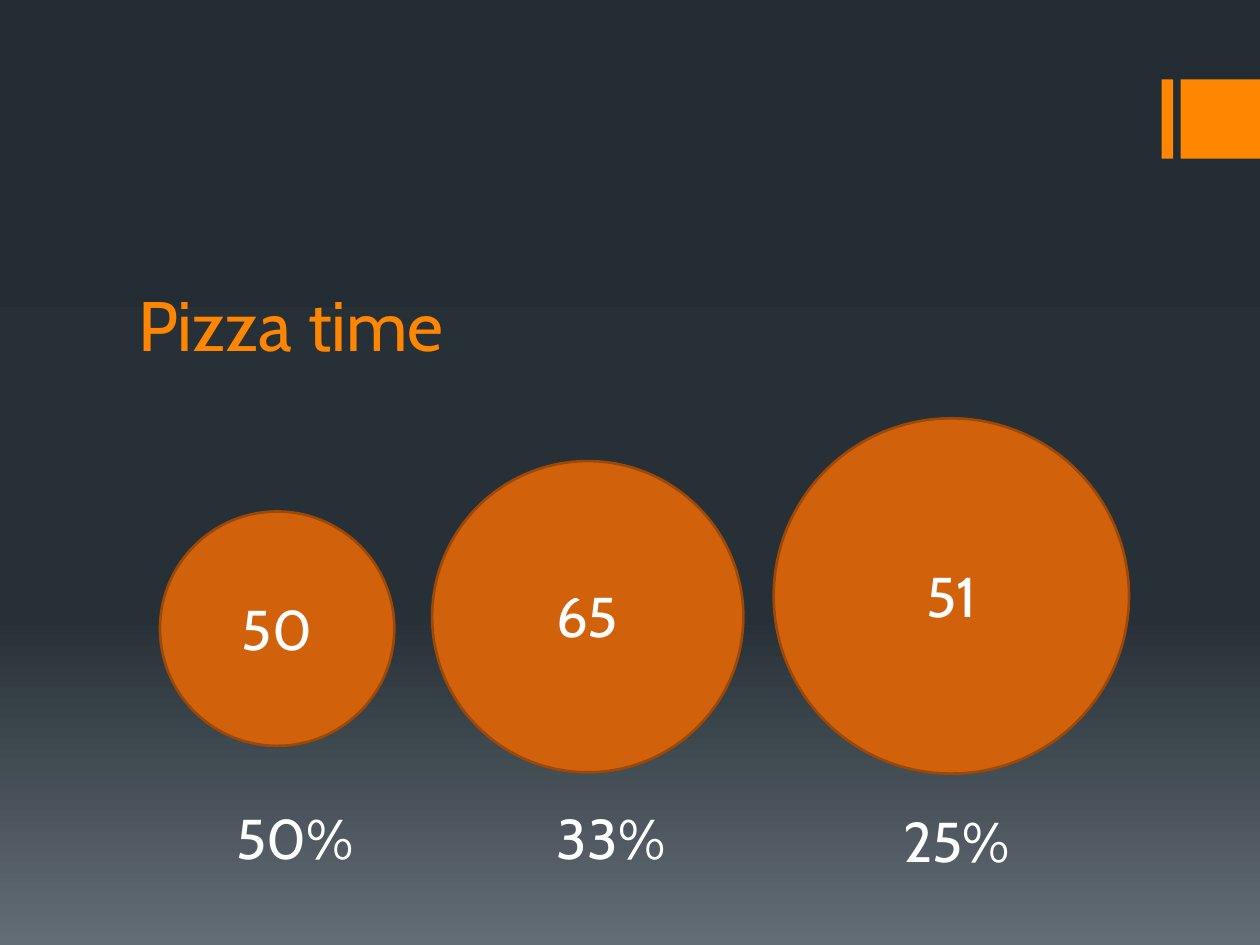
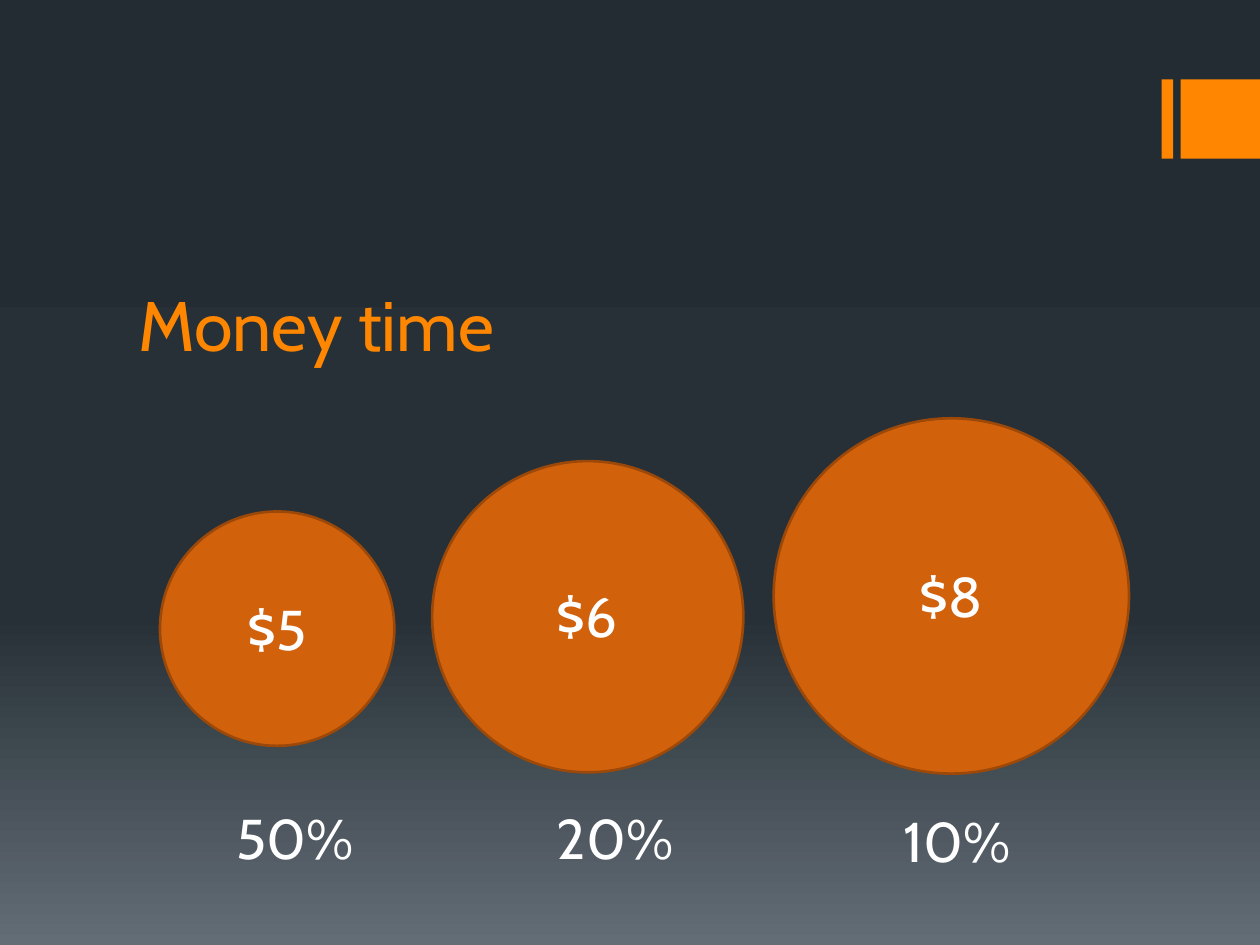
"""Build two slides that compare three growing circles with their values and percentages."""
from copy import deepcopy

from pptx import Presentation
from pptx.dml.color import RGBColor
from pptx.enum.shapes import MSO_SHAPE as SHAPE
from pptx.enum.text import MSO_ANCHOR as ANCHOR, PP_ALIGN as ALIGN
from pptx.oxml.ns import qn
from pptx.util import Pt

PX = 9144
FONT = "Cabin"
ORANGE = RGBColor(0xFF, 0x86, 0x00)
RUST = RGBColor(0xD2, 0x61, 0x0C)
BROWN = RGBColor(0x9B, 0x48, 0x09)
WHITE = RGBColor(0xFF, 0xFF, 0xFF)
NIGHT = RGBColor(0x24, 0x2C, 0x33)
SLATE = RGBColor(0x27, 0x30, 0x37)
MIST = RGBColor(0x63, 0x6D, 0x76)

BACKDROP = [(0, NIGHT), (0.65, SLATE), (1, MIST)]
TABS = [(922, 9), (937, 63)]
CIRCLES = [(127, 406, 186), (343, 366, 247), (614, 332, 282)]
LABEL_W, LABEL_H = 182, 64
PERCENT_SPOTS = [(178, 633), (432, 633), (707, 635)]
SLIDES = [
    ("Pizza time", [("50", 98), ("65", 94), ("51", 94)], ["50%", "33%", "25%"]),
    ("Money time", [("$5", 148), ("$6", 182), ("$8", 182)], ["50%", "20%", "10%"]),
]


def add_text(s, text, x, y, w, h, size=32, color=WHITE, align=ALIGN.LEFT, anchor=ANCHOR.TOP):
    tf = s.shapes.add_textbox(x * PX, y * PX, w * PX, h * PX).text_frame
    tf.word_wrap = True
    tf.vertical_anchor = anchor
    p = tf.paragraphs[0]
    p.alignment = align
    r = p.add_run()
    r.text = text
    r.font.name = FONT
    r.font.size = Pt(size)
    r.font.color.rgb = color


def add_shape(s, kind, x, y, w, h, fill, line=None):
    sp = s.shapes.add_shape(kind, x * PX, y * PX, w * PX, h * PX)
    sp.shadow.inherit = False
    sp.fill.solid()
    sp.fill.fore_color.rgb = fill
    if line is None:
        sp.line.fill.background()
    else:
        sp.line.color.rgb = line
        sp.line.width = Pt(1.5)


prs = Presentation()
prs.slide_width = 1000 * PX
prs.slide_height = 750 * PX

for title, values, percents in SLIDES:
    s = prs.slides.add_slide(prs.slide_layouts[6])

    fill = s.background.fill
    fill.gradient()
    fill.gradient_angle = 270
    stops = s.element.find(".//" + qn("a:gsLst"))
    stops.append(deepcopy(stops[-1]))
    for stop, (position, color) in zip(fill.gradient_stops, BACKDROP):
        stop.position = position
        stop.color.rgb = color

    for x, w in TABS:
        add_shape(s, SHAPE.RECTANGLE, x, 63, w, 63, ORANGE)
    add_text(s, title, 100, 169, 800, 126, size=40, color=ORANGE, anchor=ANCHOR.BOTTOM)

    for x, y, d in CIRCLES:
        add_shape(s, SHAPE.OVAL, x, y, d, d, RUST, BROWN)
    for (x, y, d), (value, w) in zip(CIRCLES, values):
        add_text(s, value, x + (d - w) // 2, y + (d - LABEL_H) // 2, w, LABEL_H, align=ALIGN.CENTER)
    for (x, y), percent in zip(PERCENT_SPOTS, percents):
        add_text(s, percent, x, y, LABEL_W, LABEL_H)

prs.save("out.pptx")
